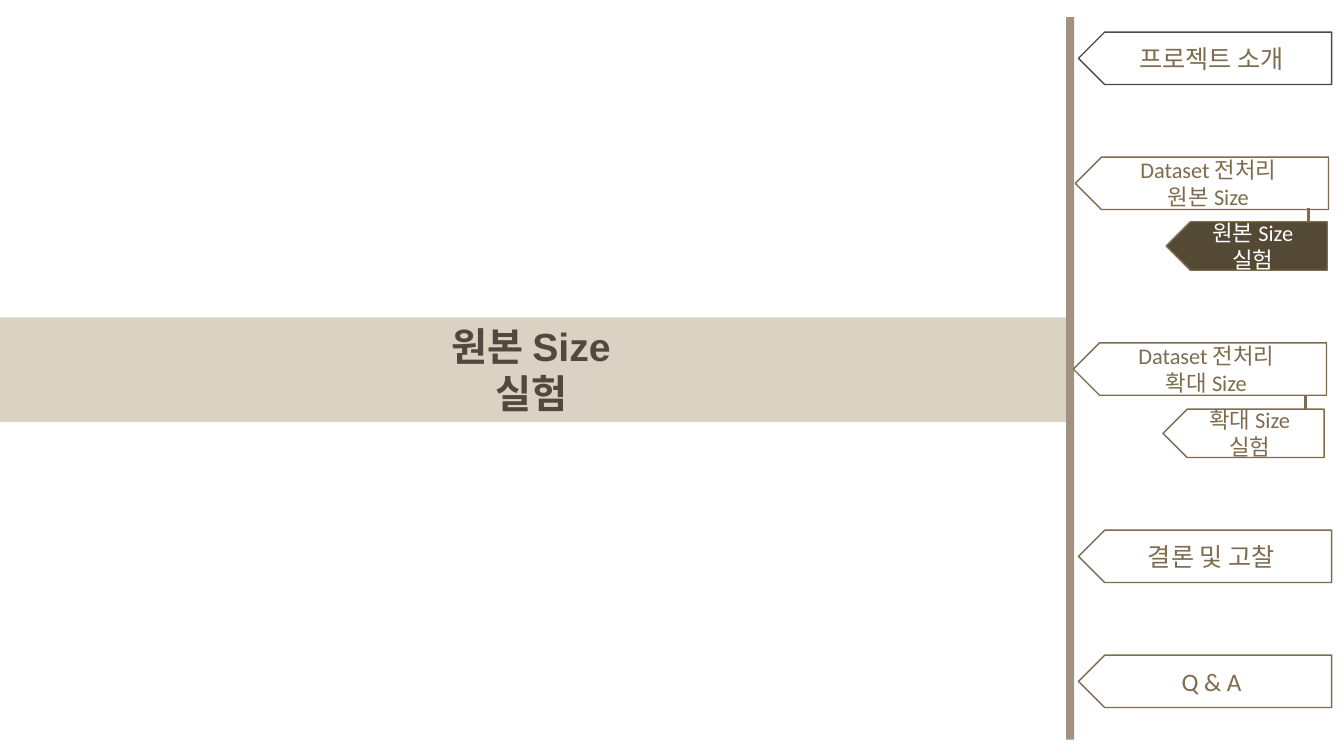
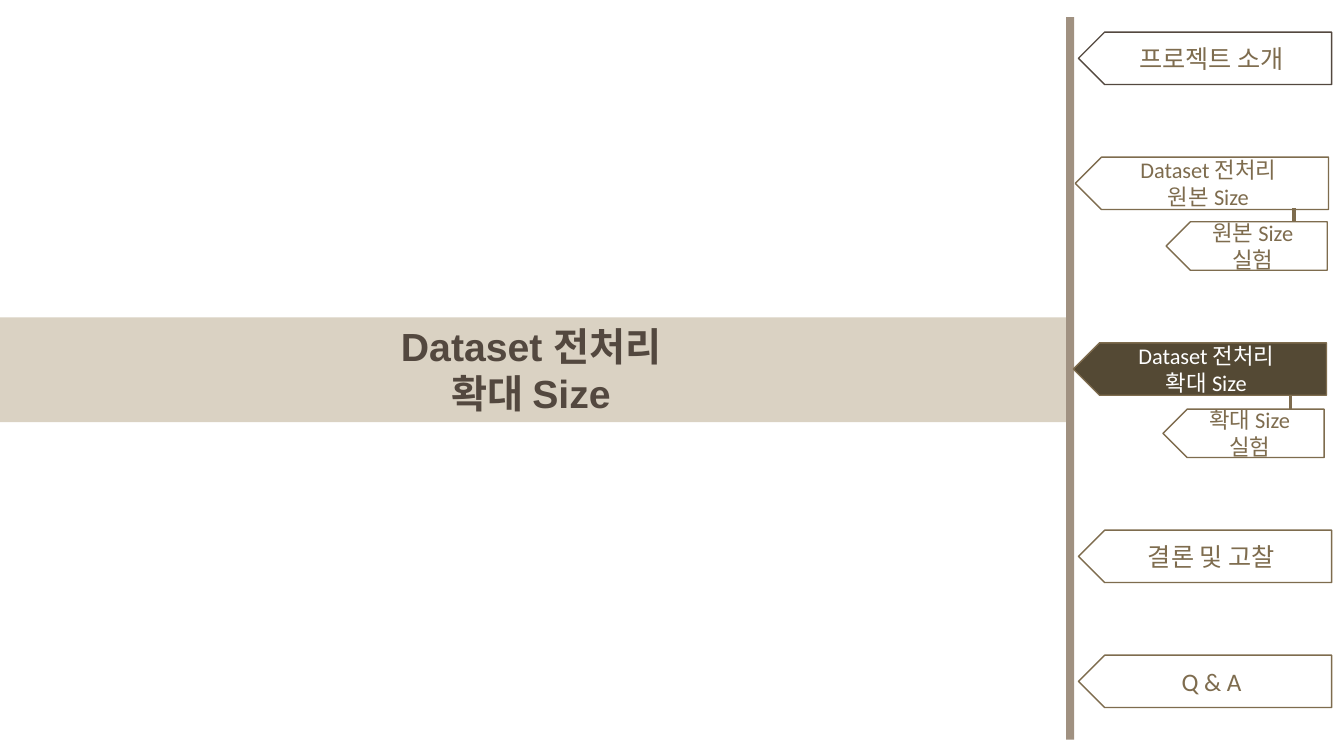
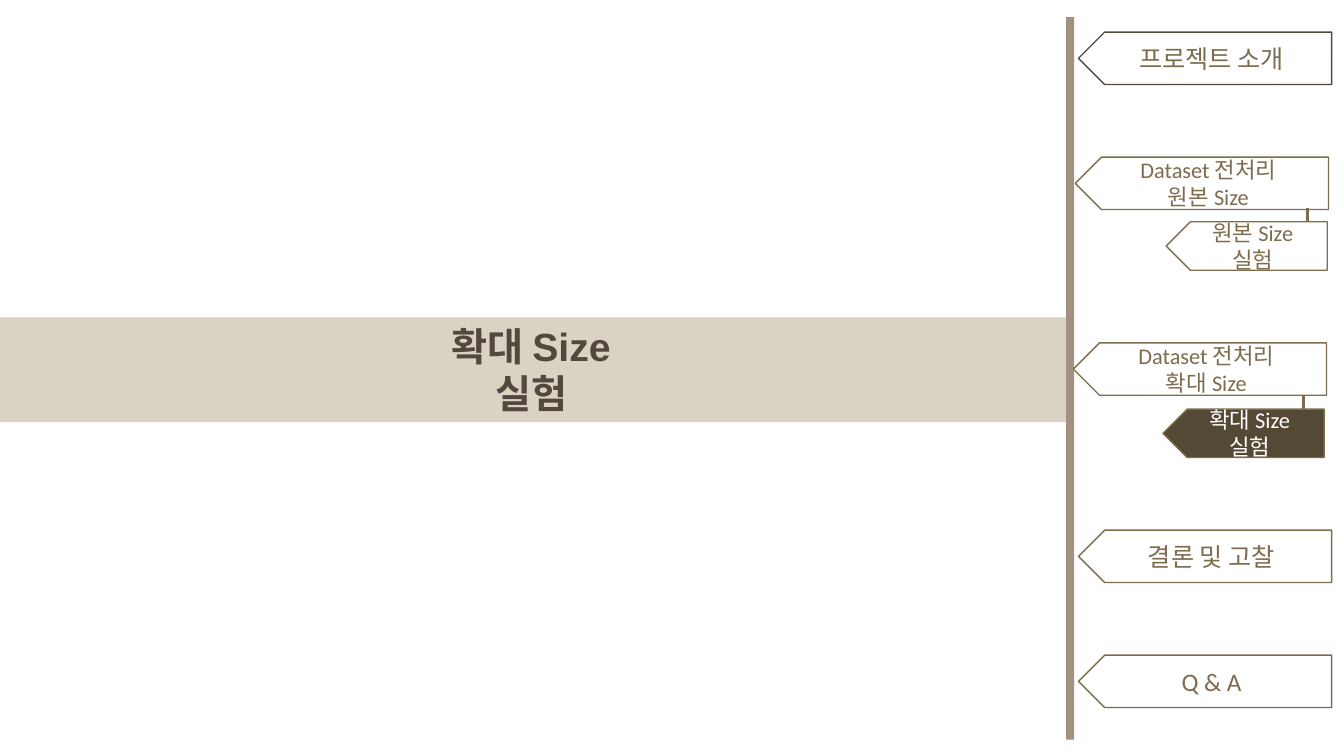
from pptx import Presentation
from pptx.dml.color import RGBColor
from pptx.enum.shapes import MSO_CONNECTOR, MSO_SHAPE
from pptx.enum.text import MSO_ANCHOR, MSO_AUTO_SIZE, PP_ALIGN
from pptx.oxml.ns import qn
from pptx.util import Cm, Pt
from lxml import etree

CENTER = PP_ALIGN.CENTER
TOP, MIDDLE = MSO_ANCHOR.TOP, MSO_ANCHOR.MIDDLE
NO_FIT = MSO_AUTO_SIZE.NONE
RECTANGLE, PENTAGON = MSO_SHAPE.RECTANGLE, MSO_SHAPE.PENTAGON
STRAIGHT = MSO_CONNECTOR.STRAIGHT

COLORS = {name: RGBColor.from_string(value) for name, value in {
    "band": "DAD2C3",
    "rail": "A09181",
    "dark": "53483F",
    "brown": "7E6C4E",
    "active": "544934",
    "white": "FFFFFF",
}.items()}

TITLE_FONT = {"name": "Arial", "size": Pt(28), "bold": True}
CHAPTER_FONT = {"name": "Calibri", "size": Pt(18)}
STEP_FONT = {"name": "Calibri", "size": Pt(16)}

CHAPTER_SIZE = (6.38, 1.32)
EXPERIMENT_SIZE = (4.06, 1.22)
LINK_LENGTH = 0.36

# label, left, top, size, font, outline
TAGS = [
    ("프로젝트 소개", 27.18, 0.81, CHAPTER_SIZE, CHAPTER_FONT, "dark"),
    ("Dataset 전처리\n원본 Size", 27.1, 3.96, CHAPTER_SIZE, STEP_FONT, "brown"),
    ("원본 Size\n실험", 29.39, 5.59, EXPERIMENT_SIZE, STEP_FONT, "brown"),
    ("Dataset 전처리\n확대 Size", 27.05, 8.64, CHAPTER_SIZE, STEP_FONT, "brown"),
    ("확대 Size\n실험", 29.31, 10.31, EXPERIMENT_SIZE, STEP_FONT, "brown"),
    ("결론 및 고찰", 27.18, 13.36, CHAPTER_SIZE, CHAPTER_FONT, "brown"),
    ("Q & A", 27.18, 16.51, CHAPTER_SIZE, CHAPTER_FONT, "brown"),
]

# current label, distance of the links from the right edge of their tags
SECTIONS = [
    ("원본 Size\n실험", 0.48),
    ("Dataset 전처리\n확대 Size", 0.84),
    ("확대 Size\n실험", 0.51),
]


def write_label(shape, label, font_format, color, anchor):
    frame = shape.text_frame
    frame.text = label
    frame.word_wrap = True
    frame.auto_size = NO_FIT
    frame.vertical_anchor = anchor
    for paragraph in frame.paragraphs:
        paragraph.alignment = CENTER
        for run in paragraph.runs:
            for attribute, value in font_format.items():
                setattr(run.font, attribute, value)
            run.font.color.rgb = COLORS[color]


def paint(shape, fill, outline=None):
    shape.fill.solid()
    shape.fill.fore_color.rgb = COLORS[fill]
    if outline:
        shape.line.color.rgb = COLORS[outline]
        shape.line.width = Pt(1)
    else:
        shape.line.fill.background()


prs = Presentation()
prs.slide_width, prs.slide_height = Cm(33.87), Cm(19.05)
title_only = prs.slide_layouts[5]

for current, link_inset in SECTIONS:
    slide = prs.slides.add_slide(title_only)

    title = slide.shapes.title
    title.left, title.top, title.width, title.height = Cm(-0.1), Cm(8), Cm(26.97), Cm(2.64)
    paint(title, "band")
    write_label(title, current, TITLE_FONT, "dark", TOP)

    rail = slide.shapes.add_shape(RECTANGLE, Cm(26.87), Cm(0.43), Cm(0.2), Cm(18.21))
    rail.shadow.inherit = False
    paint(rail, "rail")

    for label, left, top, size, font_format, outline in TAGS:
        width, height = size
        is_current = label == current
        tag = slide.shapes.add_shape(PENTAGON, Cm(left), Cm(top), Cm(width), Cm(height))
        tag.shadow.inherit = False
        tag.element.spPr.get_or_add_xfrm().set("flipH", "1")
        paint(tag, "active" if is_current else "white", outline)
        write_label(tag, label, font_format, "white" if is_current else "brown", MIDDLE)

        if size == EXPERIMENT_SIZE:
            link_x = Cm(left + width - link_inset)
            link = slide.shapes.add_connector(
                STRAIGHT, link_x, Cm(top), link_x, Cm(top - LINK_LENGTH))
            link.line.color.rgb = COLORS["brown"]
            link.line.width = Pt(2.25)
            etree.SubElement(link.element.spPr, qn("a:effectLst"))

prs.save("out.pptx")
